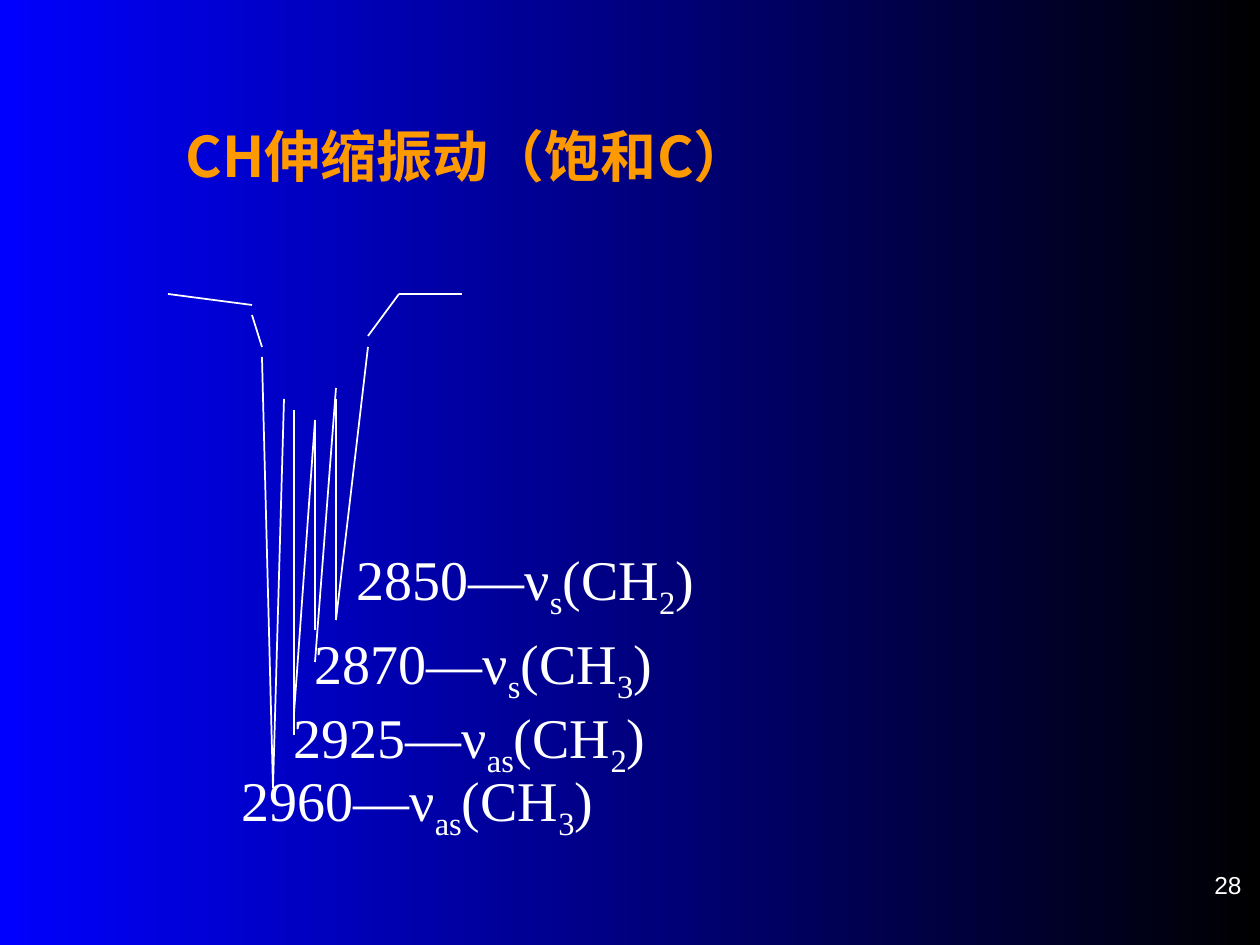
import pptx
import pptx.dml.color
import pptx.enum.shapes
import pptx.enum.text
import pptx.oxml
import pptx.oxml.ns
import pptx.util

EMU_PER_PX = 914400 / 126
BLUE = pptx.dml.color.RGBColor(0x00, 0x00, 0xFF)
BLACK = pptx.dml.color.RGBColor(0x00, 0x00, 0x00)
WHITE = pptx.dml.color.RGBColor(0xFF, 0xFF, 0xFF)
ORANGE = pptx.dml.color.RGBColor(0xFF, 0x99, 0x00)


def px(length):
    return pptx.util.Emu(round(length * EMU_PER_PX))


def add_text(left, top, width, height, parts, font_name, size, color):
    """Add a wrapped text box; every second part is a subscript."""
    shape = slide.shapes.add_textbox(px(left), px(top), px(width), px(height))
    shape.text_frame.word_wrap = True
    paragraph = shape.text_frame.paragraphs[0]
    for index, part in enumerate(parts):
        run = paragraph.add_run()
        run.text = part
        run.font.name = font_name
        run.font.size = pptx.util.Pt(size)
        run.font.color.rgb = color
        properties = run.font._element
        east_asian = pptx.oxml.parse_xml(
            f'<a:ea {pptx.oxml.ns.nsdecls("a")} typeface="{font_name}"/>')
        properties.find(pptx.oxml.ns.qn("a:latin")).addnext(east_asian)
        if index % 2:
            properties.set("baseline", "-25000")
    return shape


presentation = pptx.Presentation()
presentation.slide_width = px(1260)
presentation.slide_height = px(945)
slide = presentation.slides.add_slide(presentation.slide_layouts[6])

background = slide.background.fill
background.gradient()
background.gradient_angle = 0
for stop, color in zip(background.gradient_stops, (BLUE, BLACK)):
    stop.color.rgb = color
    stop.position = 0 if color == BLUE else 1

number = add_text(992, 847, 262, 53, ["28"], "Arial", 14, WHITE)
number.text_frame.margin_top = number.text_frame.margin_bottom = 0
number.text_frame.vertical_anchor = pptx.enum.text.MSO_ANCHOR.BOTTOM
number.text_frame.paragraphs[0].alignment = pptx.enum.text.PP_ALIGN.RIGHT

title = add_text(173, 115, 615, 81, ["CH伸缩振动（饱和C）"],
                 "Noto Sans CJK SC", 32, ORANGE)
title.text_frame.paragraphs[0].runs[0].font.bold = True

# Spectrum curve: start x, start y, end x, end y
spectrum_lines = [
    (262, 357, 273, 788),
    (284, 399, 273, 788),
    (294, 410, 294, 735),
    (315, 420, 294, 714),
    (315, 420, 315, 630),
    (336, 388, 315, 662),
    (336, 399, 336, 620),
    (368, 347, 336, 620),
    (168, 294, 252, 305),
    (252, 315, 262, 347),
    (368, 336, 399, 294),
    (399, 294, 462, 294),
]
for points in spectrum_lines:
    connector = slide.shapes.add_connector(
        pptx.enum.shapes.MSO_CONNECTOR.STRAIGHT, *map(px, points))
    connector.line.color.rgb = WHITE
    connector.line.width = pptx.util.Pt(1)
    connector._element.spPr.append(pptx.oxml.parse_xml(
        f'<a:effectLst {pptx.oxml.ns.nsdecls("a")}/>'))

# Peak labels: left, top, width, wavenumber, vibration mode, hydrogen count
peaks = [
    (229, 759, 454, "2960", "as", "3"),
    (281, 696, 432, "2925", "as", "2"),
    (302, 622, 475, "2870", "s", "3"),
    (344, 538, 432, "2850", "s", "2"),
]
for left, top, width, wavenumber, mode, hydrogens in peaks:
    parts = [f"{wavenumber}—ν", mode, "(CH", hydrogens, ")"]
    add_text(left, top, width, 89, parts, "Times New Roman", 32, WHITE)

presentation.save("out.pptx")
